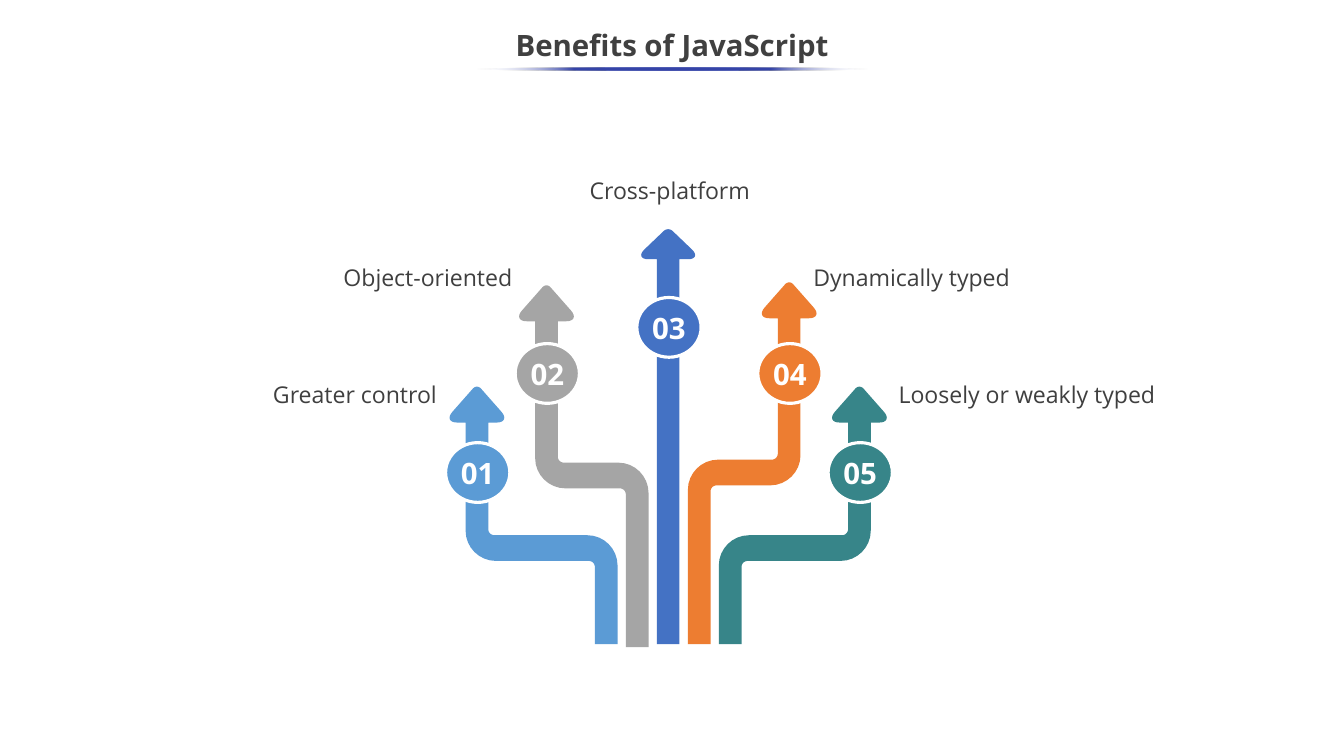
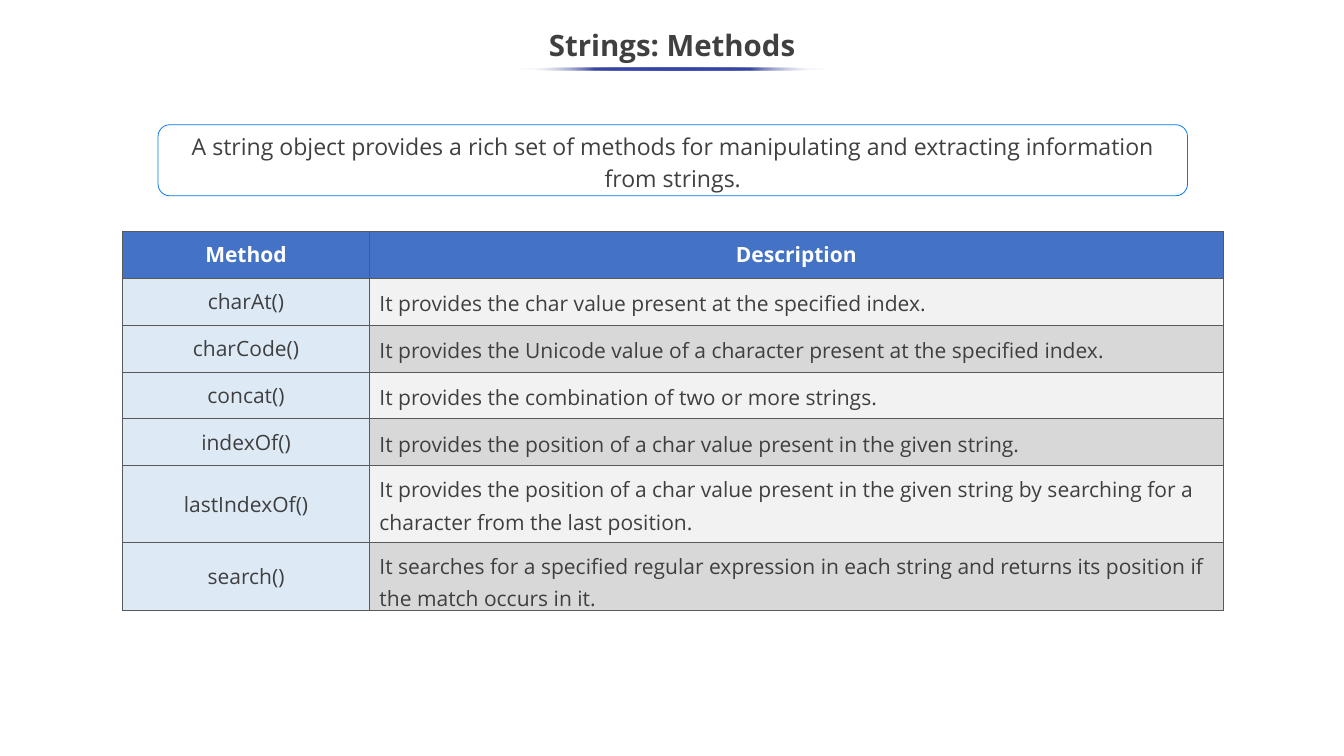
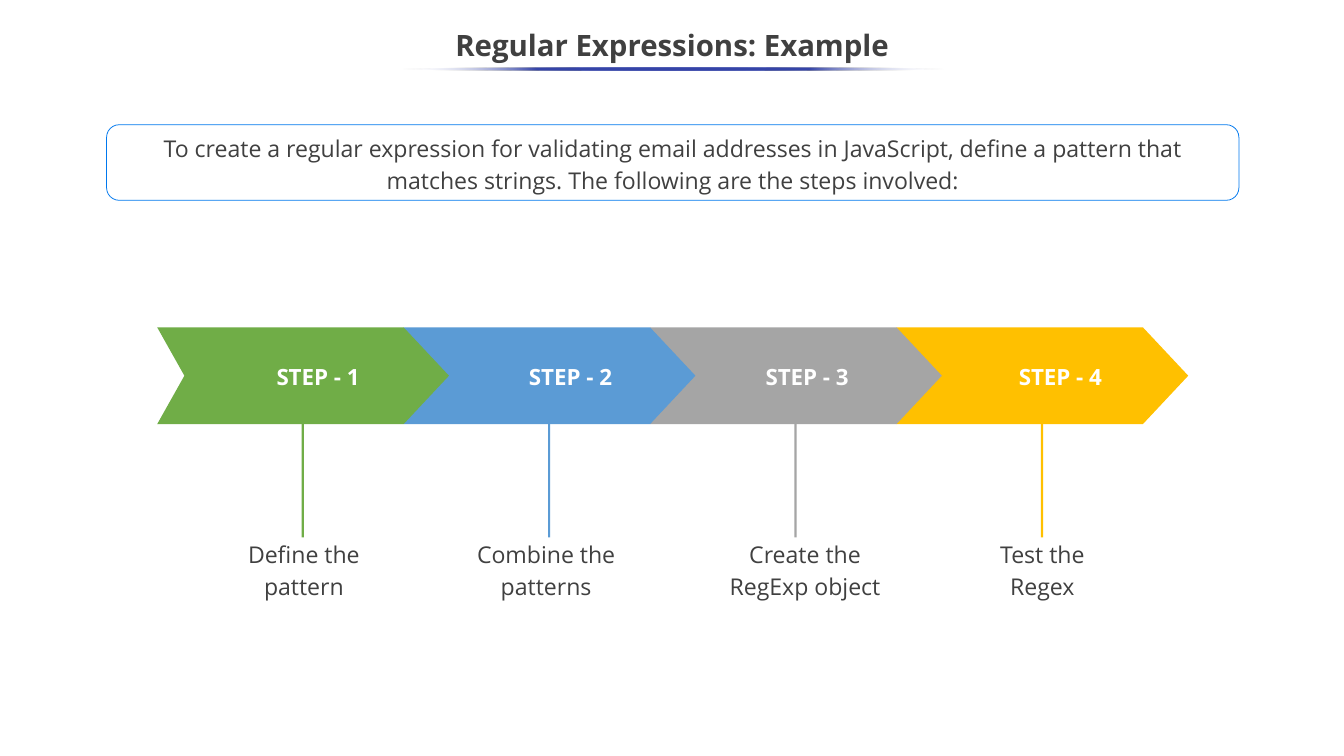
from dataclasses import dataclass
from math import dist

from lxml.etree import SubElement
from pptx import Presentation
from pptx.dml.color import RGBColor
from pptx.enum.shapes import MSO_SHAPE
from pptx.enum.text import MSO_ANCHOR, PP_ALIGN
from pptx.oxml.ns import qn
from pptx.util import Inches, Pt

FONT = "Open Sans"
SLIDE_WIDTH, SLIDE_HEIGHT = 17.78, 10
COLORS = {
    "title": "404040", "body": "3F3F3F", "white": "FFFFFF",
    "underline": "3645A9", "outline": "0078EE", "border": "595959",
    "sky": "5B9BD5", "gray": "A5A5A5", "blue": "4472C4", "orange": "ED7D31",
    "teal": "378589", "green": "70AD47", "gold": "FFC000",
    "method": "DDEAF6", "light": "F2F2F2", "dark": "D8D8D8",
}


@dataclass
class Benefit:
    """Places are relative to the box of the arrow diagram."""
    label: str
    color: str
    label_box: tuple
    tip: tuple
    badge_y: float
    bend_y: float = 0
    bottom: float = 6.24
    head_height: float = 0.51


BENEFITS = [
    Benefit("Greater control", "sky", (0, 2.7, 3.99), (3.61, 2.8), 3.97, 4.8),
    Benefit("Object-oriented", "gray", (1.5, 1.15, 2.92), (4.53, 1.46), 2.66, 3.84, 6.28),
    Benefit("Cross-platform", "blue", (4.7, 0, 2.92), (6.14, 0.72), 2.05, head_height=0.43),
    Benefit("Dynamically typed", "orange", (7.63, 1.15, 3.46), (7.74, 1.42), 2.66, 3.8),
    Benefit("Loosely or weakly typed", "teal", (8.89, 2.7, 3.99), (8.67, 2.8), 3.97, 4.8),
]

METHODS = [
    ("charAt()", "It provides the char value present at the specified index."),
    ("charCode()", "It provides the Unicode value of a character present at the specified index."),
    ("concat()", "It provides the combination of two or more strings."),
    ("indexOf()", "It provides the position of a char value present in the given string."),
    ("lastIndexOf()", "It provides the position of a char value present in the given string "
                      "by searching for a character from the last position."),
    ("search()", "It searches for a specified regular expression in each string and returns "
                 "its position if the match occurs in it."),
]

# caption, colour, offset of the step name, offset and width of the caption
STEPS = [
    ("Define the\npattern", "green", 1.48, 1.05, 1.78),
    ("Combine the\npatterns", "sky", 1.56, 0.82, 2.13),
    ("Create the\nRegExp object", "gray", 1.43, 0.9, 2.3),
    ("Test the\nRegex", "gold", 1.52, 1.21, 1.44),
]


def rgb(name):
    return RGBColor.from_string(COLORS[name])


def box(left, top, width, height):
    return Inches(left), Inches(top), Inches(width), Inches(height)


def write(frame, text, size, color, bold=False, align=PP_ALIGN.CENTER, spacing=None):
    """Fill a text frame with one paragraph, breaking lines at newlines."""
    paragraph = frame.paragraphs[0]
    paragraph.alignment = align
    if spacing:
        paragraph.line_spacing = spacing
    for number, line in enumerate(text.split("\n")):
        if number:
            paragraph.add_line_break()
        run = paragraph.add_run()
        run.text = line
        run.font.name, run.font.size, run.font.bold = FONT, Pt(size), bold
        run.font.color.rgb = rgb(color)


def add_label(slide, place, text, size, color, wrap=True, **style):
    frame = slide.shapes.add_textbox(*box(*place)).text_frame
    frame.word_wrap = wrap
    frame.vertical_anchor = MSO_ANCHOR.MIDDLE
    write(frame, text, size, color, **style)


def paint(shape, color):
    shape.shadow.inherit = False
    shape.fill.solid()
    shape.fill.fore_color.rgb = rgb(color)
    shape.line.fill.background()


def add_outline(slide, points, color):
    corners = [(Inches(x), Inches(y)) for x, y in points]
    builder = slide.shapes.build_freeform(*corners[0])
    builder.add_line_segments(corners[1:])
    paint(builder.convert_to_shape(), color)


def round_corners(corners, steps=8):
    """Turn (x, y, radius) corners into a dense outline with curved corners."""
    def toward(start, end, length):
        share = length / dist(start, end)
        return tuple(a + (b - a) * share for a, b in zip(start, end))

    outline = []
    for i, (x, y, radius) in enumerate(corners):
        corner = (x, y)
        if not radius:
            outline.append(corner)
            continue
        before, after = corners[i - 1][:2], corners[(i + 1) % len(corners)][:2]
        curve = (toward(corner, before, radius), toward(corner, before, radius * 0.45),
                 toward(corner, after, radius * 0.45), toward(corner, after, radius))
        for step in range(steps + 1):
            t = step / steps
            weights = ((1 - t) ** 3, 3 * t * (1 - t) ** 2, 3 * t * t * (1 - t), t ** 3)
            outline.append(tuple(sum(w * p[axis] for w, p in zip(weights, curve))
                                 for axis in (0, 1)))
    return outline


def add_title(slide, text, underline_width):
    add_label(slide, (0, 0.25, SLIDE_WIDTH, 0.75), text, 28, "title", bold=True, spacing=0.9)
    underline = slide.shapes.add_shape(
        MSO_SHAPE.OVAL, *box(8.9 - underline_width / 2, 0.89, underline_width, 0.04))
    paint(underline, "underline")
    underline.fill.gradient()
    underline.fill.gradient_angle = 180
    stops = underline._element.spPr.find(qn("a:gradFill")).find(qn("a:gsLst"))
    for stop in list(stops):
        stops.remove(stop)
    for percent in range(0, 101, 25):
        faded = percent in (0, 100)
        stop = SubElement(stops, qn("a:gs"), pos=str(percent * 1000))
        color = SubElement(stop, qn("a:srgbClr"),
                           val=COLORS["white" if faded else "underline"])
        if faded:
            SubElement(color, qn("a:alpha"), val="0")


def add_statement(slide, place, text):
    panel = slide.shapes.add_shape(MSO_SHAPE.ROUNDED_RECTANGLE, *box(*place))
    panel.shadow.inherit = False
    panel.fill.background()
    panel.line.color.rgb = rgb("outline")
    panel.line.width = Pt(0.75)
    frame = panel.text_frame
    frame.word_wrap = True
    frame.vertical_anchor = MSO_ANCHOR.MIDDLE
    frame.margin_top = frame.margin_bottom = 0
    write(frame, text, 22, "title", spacing=1.15)


def arrow_outline(benefit, foot):
    """Outline from the tip round the foot's side, down and back up."""
    tip, top = benefit.tip
    base = top + benefit.head_height
    side = 1 if foot >= tip else -1
    stem, head = side * 0.15, side * 0.45
    inner, outer, bend_height = 0.08, 0.4, 0.34
    down, up = [], []
    if benefit.bend_y:
        low = benefit.bend_y + bend_height
        down = [(tip + stem, benefit.bend_y, inner), (foot + stem, benefit.bend_y, outer)]
        up = [(foot - stem, low, inner), (tip - stem, low, outer)]
    return round_corners([
        (tip, top, 0.08), (tip + head, base, 0.19), (tip + stem, base, 0), *down,
        (foot + stem, benefit.bottom, 0), (foot - stem, benefit.bottom, 0), *up,
        (tip - stem, base, 0), (tip - head, base, 0.19)])


def add_benefit_arrows(slide, left, top):
    for number, benefit in enumerate(BENEFITS):
        foot = 6.14 + 0.41 * (number - 2)
        add_outline(slide, [(left + x, top + y) for x, y in arrow_outline(benefit, foot)],
                    benefit.color)
        x, y, width = benefit.label_box
        add_label(slide, (left + x, top + y, width, 0.47), benefit.label, 22, "body")
    for number, benefit in enumerate(BENEFITS, 1):
        width, height = 0.85, 0.79
        badge = slide.shapes.add_shape(MSO_SHAPE.OVAL, *box(
            left + benefit.tip[0] + 0.01 - width / 2, top + benefit.badge_y - height / 2,
            width, height))
        paint(badge, benefit.color)
        badge.line.color.rgb = rgb("white")
        badge.line.width = Pt(3)
        frame = badge.text_frame
        frame.word_wrap = False
        frame.vertical_anchor = MSO_ANCHOR.MIDDLE
        frame.margin_left = frame.margin_right = frame.margin_top = frame.margin_bottom = 0
        write(frame, f"{number:02}", 28, "white", bold=True)


def style_cell(cell, fill):
    properties = cell._tc.get_or_add_tcPr()
    for edge in ("lnL", "lnR", "lnT", "lnB"):
        border = SubElement(properties, qn(f"a:{edge}"), w=str(Pt(0.75)))
        SubElement(SubElement(border, qn("a:solidFill")), qn("a:srgbClr"),
                   val=COLORS["border"])
    cell.fill.solid()
    cell.fill.fore_color.rgb = rgb(fill)
    cell.vertical_anchor = MSO_ANCHOR.MIDDLE
    cell.margin_left = cell.margin_right = Inches(0.13)
    cell.margin_top = cell.margin_bottom = Inches(0.07)


def add_method_table(slide, left, top):
    widths = (3.27, 11.29)
    heights = [0.62] * 5 + [1.02, 0.62]
    table = slide.shapes.add_table(
        len(heights), len(widths), *box(left, top, sum(widths), sum(heights))).table
    table.first_row = table.horz_banding = False
    for column, width in zip(table.columns, widths):
        column.width = Inches(width)
    for row, height in zip(table.rows, heights):
        row.height = Inches(height)
    for column, heading in enumerate(("Method", "Description")):
        cell = table.cell(0, column)
        style_cell(cell, "blue")
        write(cell.text_frame, heading, 20, "white", bold=True)
    for row, (method, description) in enumerate(METHODS, 1):
        name_cell, description_cell = table.cell(row, 0), table.cell(row, 1)
        style_cell(name_cell, "method")
        write(name_cell.text_frame, method, 20, "body")
        style_cell(description_cell, "light" if row % 2 else "dark")
        write(description_cell.text_frame, description, 20, "body",
              align=PP_ALIGN.LEFT, spacing=1.14)


def add_step_chain(slide, left, top):
    pitch, height, point, notch = 3.26, 1.28, 0.6, 0.36
    starts = [left + pitch * i for i in range(len(STEPS))]
    for start, (_, color, *_) in zip(starts, STEPS):
        stalk = slide.shapes.add_shape(MSO_SHAPE.RECTANGLE,
                                       *box(start + 1.91, top + 0.14, 0.03, 2.64))
        paint(stalk, color)
    # Last step first, so that each point covers the step after it
    for number in range(len(STEPS), 0, -1):
        start = starts[number - 1]
        caption, color, name_x, caption_x, caption_width = STEPS[number - 1]
        end, middle, bottom = start + pitch, top + height / 2, top + height
        outline = [(start, top), (end, top), (end + point, middle), (end, bottom),
                   (start, bottom)]
        if number == 1:
            outline.append((start + notch, middle))
        add_outline(slide, outline, color)
        add_label(slide, (start + name_x, top + 0.42, 2, 0.46), f"STEP - {number}", 21.3,
                  "white", bold=True, align=PP_ALIGN.LEFT)
        add_label(slide, (start + caption_x, top + 2.72, caption_width, 0.93), caption, 22,
                  "title", wrap=False, spacing=1.15)


def main():
    deck = Presentation()
    deck.slide_width, deck.slide_height = Inches(SLIDE_WIDTH), Inches(SLIDE_HEIGHT)
    benefits, methods, steps = (deck.slides.add_slide(deck.slide_layouts[6])
                                for _ in range(3))

    add_title(benefits, "Benefits of JavaScript", 5.18)
    add_benefit_arrows(benefits, 2.7, 2.28)

    add_title(methods, "Strings: Methods", 4.07)
    add_statement(methods, (2.09, 1.65, 13.62, 0.94),
                  "A string object provides a rich set of methods for manipulating and "
                  "extracting information\nfrom strings.")
    add_method_table(methods, 1.62, 3.06)

    add_title(steps, "Regular Expressions: Example", 7.18)
    add_statement(steps, (1.41, 1.65, 14.98, 1),
                  "To create a regular expression for validating email addresses in "
                  "JavaScript, define a pattern that matches strings. The following are "
                  "the steps involved:")
    add_step_chain(steps, 2.08, 4.33)

    deck.save("out.pptx")


if __name__ == "__main__":
    main()
